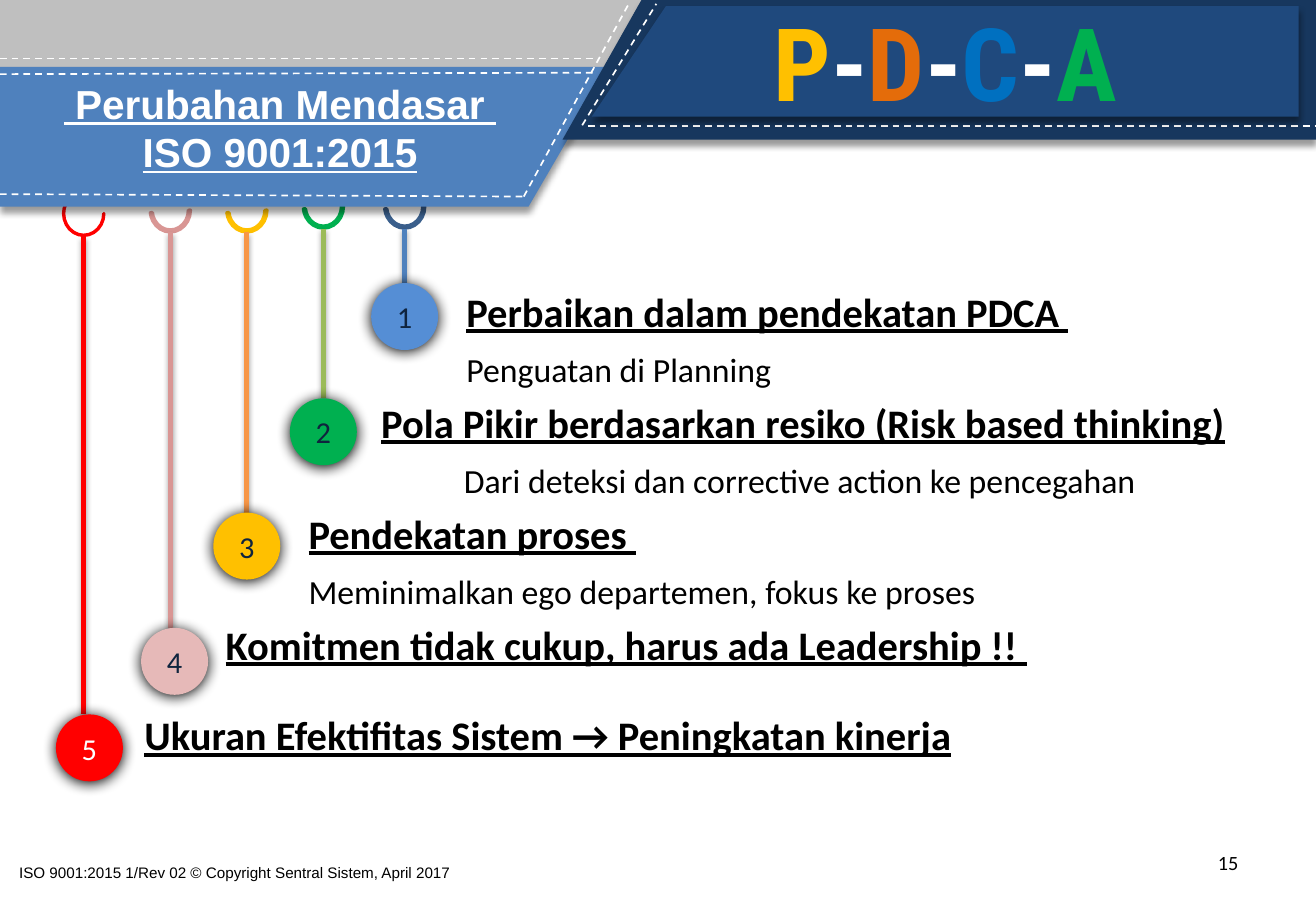
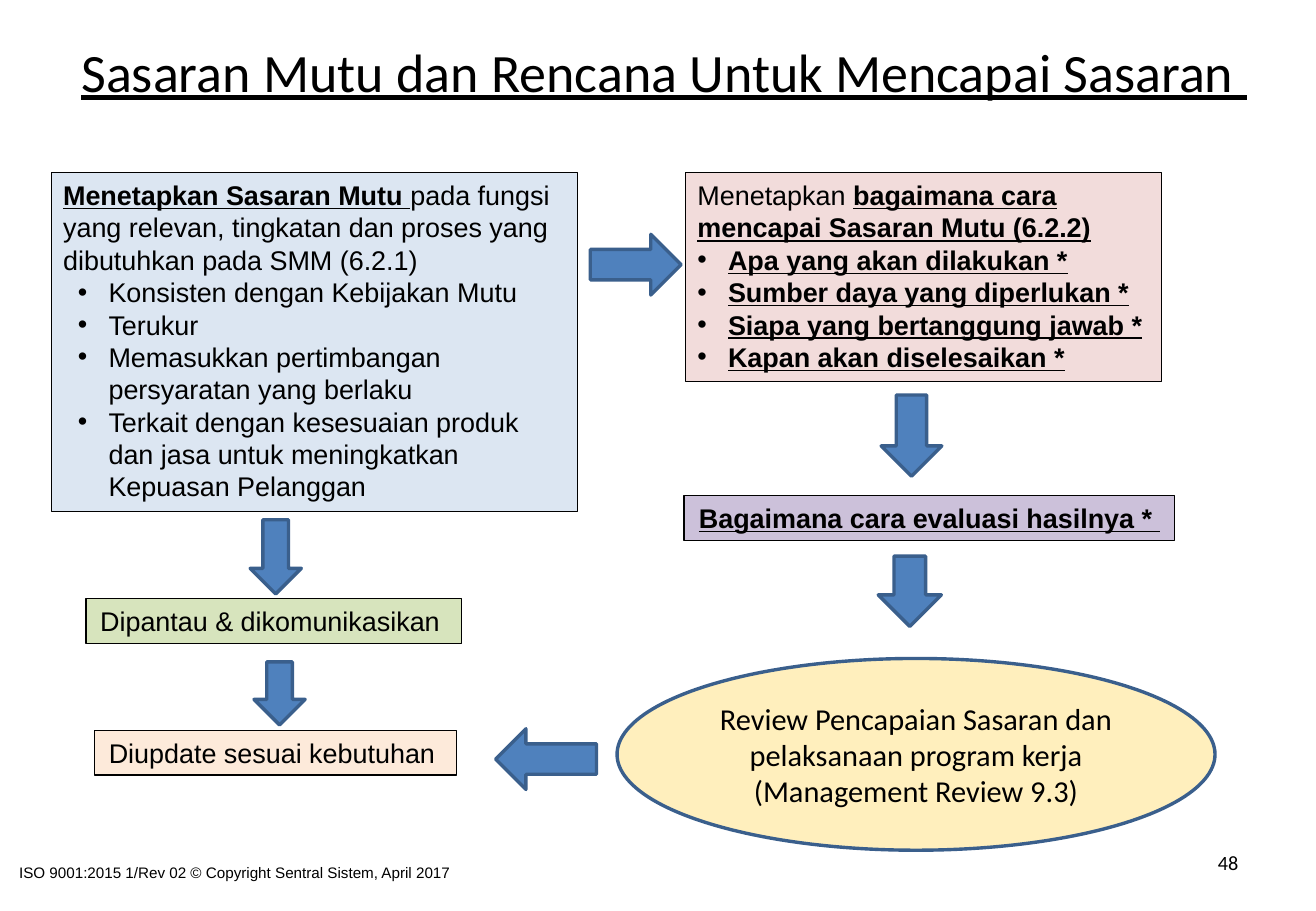
from lxml import etree
from pptx import Presentation
from pptx.dml.color import RGBColor
from pptx.enum.dml import MSO_LINE
from pptx.enum.shapes import MSO_CONNECTOR, MSO_SHAPE
from pptx.enum.text import MSO_ANCHOR, PP_ALIGN
from pptx.oxml.ns import qn
from pptx.util import Cm, Pt

STRAIGHT, DASH = MSO_CONNECTOR.STRAIGHT, MSO_LINE.DASH
RECTANGLE, OVAL, ARC = MSO_SHAPE.RECTANGLE, MSO_SHAPE.OVAL, MSO_SHAPE.BLOCK_ARC
RIGHT_ARROW, DOWN_ARROW, LEFT_ARROW = (
    MSO_SHAPE.RIGHT_ARROW, MSO_SHAPE.DOWN_ARROW, MSO_SHAPE.LEFT_ARROW)
LEFT, CENTER, RIGHT = PP_ALIGN.LEFT, PP_ALIGN.CENTER, PP_ALIGN.RIGHT
TOP, MIDDLE = MSO_ANCHOR.TOP, MSO_ANCHOR.MIDDLE

BLACK = RGBColor(0x00, 0x00, 0x00)
WHITE = RGBColor(0xFF, 0xFF, 0xFF)
GREY = RGBColor(0xBF, 0xBF, 0xBF)
BLUE = RGBColor(0x4F, 0x81, 0xBD)
BLUE_EDGE = RGBColor(0x3A, 0x5F, 0x8C)
BLUE_BADGE = RGBColor(0x55, 0x8E, 0xD5)
NAVY = RGBColor(0x17, 0x37, 0x5E)
PANEL_BLUE = RGBColor(0x1F, 0x49, 0x7D)
INK = RGBColor(0x0F, 0x24, 0x3E)
BRIGHT_BLUE = RGBColor(0x00, 0x70, 0xC0)
GREEN = RGBColor(0x00, 0xB0, 0x50)
OLIVE = RGBColor(0x9B, 0xBB, 0x59)
GOLD = RGBColor(0xFF, 0xC0, 0x00)
AMBER = RGBColor(0xFA, 0xBA, 0x1A)
ORANGE = RGBColor(0xF7, 0x96, 0x46)
DARK_ORANGE = RGBColor(0xE4, 0x6C, 0x0A)
ROSE = RGBColor(0xD9, 0x96, 0x94)
PINK = RGBColor(0xE6, 0xB9, 0xB8)
RED = RGBColor(0xFF, 0x00, 0x00)
PALE_BLUE = RGBColor(0xDC, 0xE6, 0xF2)
PALE_RED = RGBColor(0xF2, 0xDC, 0xDB)
PALE_GREEN = RGBColor(0xD7, 0xE4, 0xBD)
PALE_ORANGE = RGBColor(0xFD, 0xEA, 0xDA)
PALE_PURPLE = RGBColor(0xCC, 0xC1, 0xDA)
CREAM = RGBColor(0xFF, 0xEF, 0xBD)

# Shadows: opacity in percent, then blur and distance in points
BAND_SHADOW, STEM_SHADOW, BADGE_SHADOW = (40, 4, 3), (35, 3.1, 1.8), (100, 8.5, 1)

PAGE_WIDTH, PAGE_HEIGHT = 27.51, 19.05
PAGE_BOX = (0, 0, PAGE_WIDTH, PAGE_HEIGHT)
FOOTER = "ISO 9001:2015 1/Rev 02 © Copyright Sentral Sistem, April 2017"


def style(face, size, color=BLACK, **extra):
    return {"name": face, "size": Pt(size), "color": color, **extra}


STRONG = {"bold": True, "underline": True}
BODY = style("Arial", 16)
BODY_STRONG = BODY | STRONG
HEADING = style("Calibri", 24, **STRONG)
DETAIL = style("Calibri", 20)


# Text
def write(frame, paragraphs, anchor=TOP, wrap=True):
    """Fill a frame; each paragraph is (spans, paragraph format)."""
    frame.word_wrap, frame.vertical_anchor = wrap, anchor
    for index, (spans, layout) in enumerate(paragraphs):
        para = frame.paragraphs[0] if index == 0 else frame.add_paragraph()
        layout = {"alignment": LEFT} | layout
        margin, bullet = layout.pop("margin", 0), layout.pop("bullet", False)
        properties = para._p.get_or_add_pPr()
        properties.set("marL", str(Cm(margin)))
        properties.set("indent", str(-Cm(0.64) if bullet else 0))
        if bullet:
            etree.SubElement(properties, qn("a:buFont"), typeface="Arial")
            etree.SubElement(properties, qn("a:buChar"), char="•")
        for name, value in layout.items():
            setattr(para, name, value)
        for text, look in spans:
            span = para.add_run()
            span.text = text
            for name, value in look.items():
                if name == "color":
                    span.font.color.rgb = value
                else:
                    setattr(span.font, name, value)


def line_of(text, look, **layout):
    return [(text, look)], layout


def add_text(page, box, paragraphs, anchor=TOP):
    shape = page.shapes.add_textbox(*map(Cm, box))
    write(shape.text_frame, paragraphs, anchor)


# Shapes
def cast_shadow(shape, shadow):
    properties = shape._element.spPr
    effects = properties.find(qn("a:effectLst"))
    if effects is None:
        effects = etree.SubElement(properties, qn("a:effectLst"))
    if shadow:
        opacity, blur, distance = shadow
        outer = etree.SubElement(
            effects, qn("a:outerShdw"), blurRad=str(Pt(blur)), dist=str(Pt(distance)),
            dir="5400000", algn="t", rotWithShape="0")
        color = etree.SubElement(outer, qn("a:srgbClr"), val=str(BLACK))
        etree.SubElement(color, qn("a:alpha"), val=str(opacity * 1000))


def paint(shape, fill, edge=None, width=2, shadow=None):
    shape.fill.solid()
    shape.fill.fore_color.rgb = fill
    if edge is None:
        shape.line.fill.background()
    else:
        shape.line.color.rgb, shape.line.width = edge, Pt(width)
    shape.shadow.inherit = False
    cast_shadow(shape, shadow)
    return shape


def add_shape(page, kind, box, fill, **look):
    return paint(page.shapes.add_shape(kind, *map(Cm, box)), fill, **look)


def add_polygon(page, points, fill):
    points = [(Cm(x), Cm(y)) for x, y in points]
    builder = page.shapes.build_freeform(*points[0], scale=1.0)
    builder.add_line_segments(points[1:], close=True)
    return paint(builder.convert_to_shape(), fill, shadow=BAND_SHADOW)


def add_line(page, start, end, color, width, dash=None, shadow=None):
    line = page.shapes.add_connector(STRAIGHT, *map(Cm, (*start, *end)))
    line.line.color.rgb, line.line.width = color, Pt(width)
    if dash:
        line.line.dash_style = dash
    cast_shadow(line, shadow)


def inside(box, left, top, width, height):
    return box[0] + left, box[1] + top, width, height


# Shared footer
def add_footer(page, box, number):
    add_text(page, inside(box, 0.15, 17.93, 17.96, 0.74),
             [line_of(FOOTER, style("Arial", 9))])
    add_text(page, inside(box, 19.71, 17.65, 6.43, 1.02),
             [line_of(number, style("Calibri", 12), alignment=RIGHT)])


# Header bands with stitched edges
def add_header(page, box):
    left, top = box[:2]

    def shift(*points):
        return [(left + x, top + y) for x, y in points]

    add_polygon(page, shift((0, 1.4), (12.75, 1.4), (11.05, 4.32), (0, 4.32)), BLUE)
    add_polygon(page, shift((13.41, 0), (27.51, 0), (27.51, 2.92), (11.76, 2.92)), NAVY)
    title = style("Arial", 24, WHITE, **STRONG)
    add_text(page, inside(box, -0.05, 1.52, 11.81, 2.31),
             [line_of(text, title, alignment=CENTER)
              for text in (" Perubahan Mendasar ", "ISO 9001:2015")])
    for stitch in (
        ((0, 1.22), (12.4, 1.22)),
        ((0, 1.55), (12.4, 1.52)),
        ((0, 4.06), (10.95, 4.11)),
        ((10.95, 4.11), (13.16, 0.05)),
        ((12.29, 2.64), (27.51, 2.64)),
        ((12.17, 2.62), (13.72, 0.08)),
    ):
        add_line(page, *shift(*stitch), WHITE, 1, DASH)
    panel = add_polygon(
        page, shift((13.92, 0.13), (27.15, 0.13), (27.15, 2.44), (12.37, 2.44)), PANEL_BLUE)
    colors = (GOLD, WHITE, DARK_ORANGE, WHITE, BRIGHT_BLUE, WHITE, GREEN)
    spans = [(letter, style("Roboto Condensed", 60, color, bold=True))
             for letter, color in zip("P-D-C-A", colors)]
    write(panel.text_frame, [(spans, {"alignment": CENTER})], MIDDLE)


# One numbered badge hanging from a hook
def add_hanger(page, box, number, fill, stem, hook_fill, hook_edge,
               badge_shift=0, ink=INK, angle=211.51, thickness=0.05):
    left, top, width, height = box
    hook = add_shape(page, ARC, (left - 0.42, top, 0.84, 0.91), hook_fill, edge=hook_edge)
    hook.rotation = 180
    for index, value in enumerate((108, angle, thickness)):
        hook.adjustments[index] = value
    badge_top = top + height - width
    add_line(page, (left, top + 0.92), (left, badge_top), stem, 3, shadow=STEM_SHADOW)
    badge = add_shape(page, OVAL, (left - width / 2 + badge_shift, badge_top, width, width),
                      fill, shadow=BADGE_SHADOW)
    write(badge.text_frame,
          [line_of(number, style("Calibri", 18, ink), alignment=CENTER)], MIDDLE)


def add_changes(page, box):
    add_text(page, box, [
        line_of("Perbaikan dalam pendekatan PDCA ", HEADING, margin=6.73),
        line_of("Penguatan di Planning", DETAIL, margin=6.73, space_before=Pt(8)),
        line_of("Pola Pikir berdasarkan resiko (Risk based thinking)", HEADING,
                margin=4.95, space_before=Pt(5)),
        line_of("Dari deteksi dan corrective action ke pencegahan", DETAIL,
                margin=6.68, space_before=Pt(8)),
        line_of("Pendekatan proses ", HEADING, margin=3.43, space_before=Pt(5)),
        line_of("Meminimalkan ego departemen, fokus ke proses", DETAIL,
                margin=3.43, space_before=Pt(8)),
        line_of("Komitmen tidak cukup, harus ada Leadership !! ", HEADING,
                margin=1.7, space_before=Pt(5)),
        line_of("Ukuran Efektifitas Sistem → Peningkatan kinerja", HEADING,
                space_before=Pt(25)),
    ])


def build_changes_page(page, box):
    add_shape(page, RECTANGLE, inside(box, 0, 0, 14.35, 1.47), GREY)
    hangers = (
        (8.46, 3.86, 3.46, "1", BLUE_BADGE, BLUE, BLUE, BLUE_EDGE, {}),
        (6.76, 3.86, 5.87, "2", GREEN, OLIVE, GREEN, GREEN, {}),
        (5.16, 3.94, 8.18, "3", GOLD, ORANGE, AMBER, GOLD, {}),
        (3.56, 3.94, 10.59, "4", PINK, ROSE, AMBER, ROSE, {"badge_shift": 0.09}),
        (1.75, 4.01, 12.33, "5", RED, RED, AMBER, RED,
         {"badge_shift": 0.12, "ink": WHITE, "angle": 16.75, "thickness": 0}),
    )
    for left, top, height, *look, extra in hangers:
        add_hanger(page, inside(box, left, top, 1.4, height), *look, **extra)
    add_header(page, box)
    add_changes(page, inside(box, 2.77, 5.87, 24.3, 12))


# Flow of quality goals
def add_card(page, box, fill, paragraphs, wrap=True):
    card = add_shape(page, RECTANGLE, box, fill, edge=BLACK, width=0.75)
    write(card.text_frame, paragraphs, wrap=wrap)


def build_goals_page(page, box):
    add_text(page, inside(box, 1.07, 0, 25.63, 2.95),
             [line_of("Sasaran Mutu dan Rencana Untuk Mencapai Sasaran ",
                      style("Calibri", 32, underline=True), alignment=CENTER)], MIDDLE)

    # Cards with bullets
    goals = ("Konsisten dengan Kebijakan Mutu", "Terukur",
             "Memasukkan pertimbangan persyaratan yang berlaku",
             "Terkait dengan kesesuaian produk dan jasa untuk meningkatkan Kepuasan Pelanggan")
    goal_intro = [("Menetapkan Sasaran Mutu ", BODY_STRONG),
                  ("pada fungsi yang relevan, tingkatan dan proses yang "
                   "dibutuhkan pada SMM (6.2.1)", BODY)]
    plans = ("Apa yang akan dilakukan *", "Sumber daya yang diperlukan *",
             "Siapa yang bertanggung jawab *", "Kapan akan diselesaikan *")
    plan_intro = [("Menetapkan ", BODY),
                  ("bagaimana cara mencapai Sasaran Mutu (6.2.2)", BODY_STRONG)]
    for area, fill, intro, items, look, margin in (
        ((1.07, 3.61, 11, 7.09), PALE_BLUE, goal_intro, goals, BODY, 0.95),
        ((14.33, 3.61, 9.96, 4.37), PALE_RED, plan_intro, plans, BODY_STRONG, 0.64),
    ):
        bullets = [line_of(item, look, margin=margin, bullet=True) for item in items]
        add_card(page, inside(box, *area), fill, [(intro, {}), *bullets])

    # Cards with one line
    for area, fill, text, look in (
        ((1.8, 12.52, 7.85, 0.94), PALE_GREEN, "Dipantau & dikomunikasikan ", BODY),
        ((1.98, 15.27, 7.57, 0.94), PALE_ORANGE, "Diupdate sesuai kebutuhan ", BODY),
        ((14.3, 10.36, 10.26, 0.94), PALE_PURPLE,
         "Bagaimana cara evaluasi hasilnya * ", BODY_STRONG),
    ):
        add_card(page, inside(box, *area), fill,
                 [line_of(text, look, alignment=CENTER)], wrap=False)

    # Review and arrows
    review = add_shape(page, OVAL, inside(box, 12.9, 13.77, 12.5, 4.01), CREAM, edge=BLUE_EDGE)
    write(review.text_frame,
          [line_of(text, style("Calibri", 18), alignment=CENTER) for text in (
              "Review Pencapaian Sasaran dan pelaksanaan program kerja",
              "(Management Review 9.3)")], MIDDLE)
    for kind, *area in (
        (RIGHT_ARROW, 12.34, 4.9, 1.9, 1.27),
        (DOWN_ARROW, 5.23, 10.87, 1.07, 1.55),
        (DOWN_ARROW, 5.31, 13.84, 1.07, 1.32),
        (DOWN_ARROW, 18.42, 8.26, 1.27, 1.7),
        (DOWN_ARROW, 18.36, 11.63, 1.32, 1.47),
        (LEFT_ARROW, 10.36, 15.24, 2.11, 1.27),
    ):
        add_shape(page, kind, inside(box, *area), BLUE, edge=BLUE_EDGE)


def main():
    deck = Presentation()
    deck.slide_width, deck.slide_height = Cm(PAGE_WIDTH), Cm(PAGE_HEIGHT)
    for build, number in ((build_changes_page, "15"), (build_goals_page, "48")):
        page = deck.slides.add_slide(deck.slide_layouts[6])
        build(page, PAGE_BOX)
        add_footer(page, PAGE_BOX, number)
    deck.save("out.pptx")


if __name__ == "__main__":
    main()
